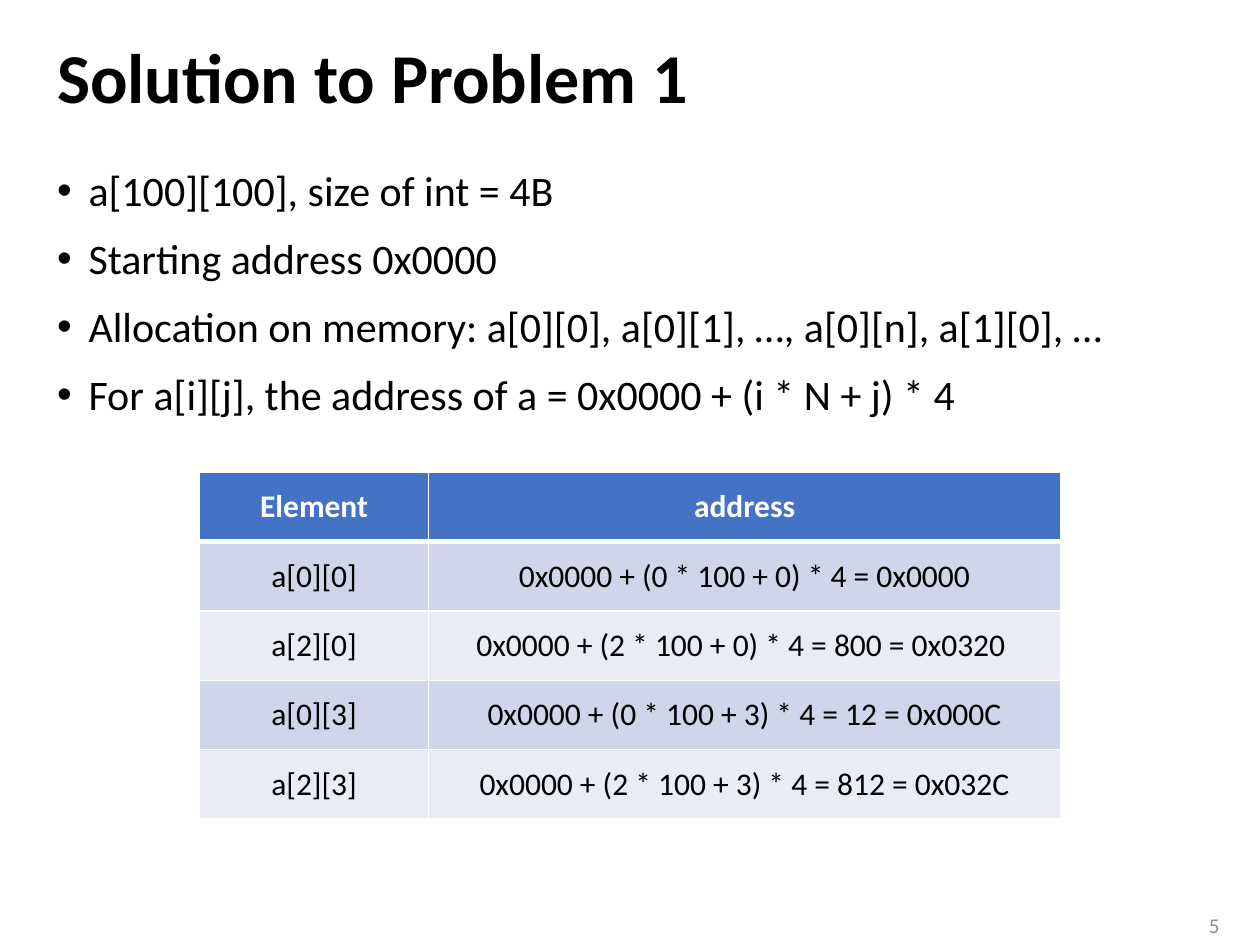
import pptx
import pptx.dml.color
import pptx.enum.text
import pptx.oxml
import pptx.oxml.ns
import pptx.util
from lxml import etree

Pt = pptx.util.Pt
ALIGN = pptx.enum.text.PP_ALIGN
ANCHOR = pptx.enum.text.MSO_ANCHOR
FONT = "Calibri"
COLORS = {
    "text": "000000",
    "header_text": "FFFFFF",
    "page_number": "8C8C8C",
    "header": "4472C4",
    "band_dark": "CFD5EA",
    "band_light": "E9EBF5",
    "border": "FFFFFF",
}

TITLE = "Solution to Problem 1"
POINTS = [
    "a[100][100], size of int = 4B",
    "Starting address 0x0000",
    "Allocation on memory: a[0][0], a[0][1], …, a[0][n], a[1][0], …",
    "For a[i][j], the address of a = 0x0000 + (i * N + j) * 4",
]
ADDRESSES = [
    ("Element", "address"),
    ("a[0][0]", "0x0000 + (0 * 100 + 0) * 4 = 0x0000"),
    ("a[2][0]", "0x0000 + (2 * 100 + 0) * 4 = 800 = 0x0320 "),
    ("a[0][3]", "0x0000 + (0 * 100 + 3) * 4 = 12 = 0x000C"),
    ("a[2][3]", "0x0000 + (2 * 100 + 3) * 4 = 812 = 0x032C"),
]


def rgb(name):
    return pptx.dml.color.RGBColor.from_string(COLORS[name])


def style(paragraph, size, color="text", bold=False):
    for run in paragraph.runs:
        run.font.name = FONT
        run.font.size = Pt(size)
        run.font.bold = bold
        run.font.color.rgb = rgb(color)


def add_text(slide, box, text, anchor):
    frame = slide.shapes.add_textbox(*map(Pt, box)).text_frame
    frame.word_wrap = True
    frame.vertical_anchor = anchor
    frame.text = text
    return frame


def add_title(slide, box):
    heading = add_text(slide, box, TITLE, ANCHOR.MIDDLE).paragraphs[0]
    heading.line_spacing = 0.9
    style(heading, 40, bold=True)


def add_points(slide, box):
    points = add_text(slide, box, "\n".join(POINTS), ANCHOR.TOP)
    for index, point in enumerate(points.paragraphs):
        # Hanging bullet
        properties = point._p.get_or_add_pPr()
        properties.set("marL", str(Pt(18)))
        properties.set("indent", str(-Pt(18)))
        bullet_font = etree.SubElement(properties, pptx.oxml.ns.qn("a:buFont"))
        bullet_font.set("typeface", "Arial")
        bullet = etree.SubElement(properties, pptx.oxml.ns.qn("a:buChar"))
        bullet.set("char", "•")
        if index:
            point.space_before = Pt(10)
        style(point, 24)


def add_page_number(slide, box):
    number = add_text(slide, box, "5", ANCHOR.MIDDLE).paragraphs[0]
    number.alignment = ALIGN.RIGHT
    style(number, 12, "page_number")


def set_borders(cell, **widths):
    properties = cell._tc.get_or_add_tcPr()
    for position, side in enumerate("LRTB"):
        line = pptx.oxml.parse_xml(
            f'<a:ln{side} {pptx.oxml.ns.nsdecls("a")} w="{Pt(widths.get(side, 1))}">'
            f'<a:solidFill><a:srgbClr val="{COLORS["border"]}"/></a:solidFill>'
            f"</a:ln{side}>"
        )
        properties.insert(position, line)


def add_address_table(slide, box, element_width):
    left, top, width, height = box
    count = len(ADDRESSES)
    table = slide.shapes.add_table(count, 2, *map(Pt, box)).table
    table.columns[0].width = Pt(element_width)
    table.columns[1].width = Pt(width - element_width)
    for row, texts in enumerate(ADDRESSES):
        table.rows[row].height = Pt(height / count)
        is_header = row == 0
        band = "band_dark" if row % 2 else "band_light"
        for column, text in enumerate(texts):
            cell = table.cell(row, column)
            cell.text = text
            cell.vertical_anchor = ANCHOR.MIDDLE
            cell.fill.solid()
            cell.fill.fore_color.rgb = rgb("header" if is_header else band)
            entry = cell.text_frame.paragraphs[0]
            entry.alignment = ALIGN.CENTER
            style(entry, 18, "header_text" if is_header else "text", is_header)
            # Thick rule between the header and the first row
            set_borders(cell, T=3 if row == 1 else 1, B=3 if is_header else 1)


def main():
    deck = pptx.Presentation()
    deck.slide_width, deck.slide_height = Pt(720), Pt(540)
    slide = deck.slides.add_slide(deck.slide_layouts[6])
    add_title(slide, (25.5, 13.5, 669, 66))
    add_points(slide, (25.5, 90.5, 669, 420))
    add_page_number(slide, (667.5, 517.5, 36.5, 22.5))
    add_address_table(slide, (114, 270, 492, 198), 131)
    deck.save("out.pptx")


if __name__ == "__main__":
    main()
